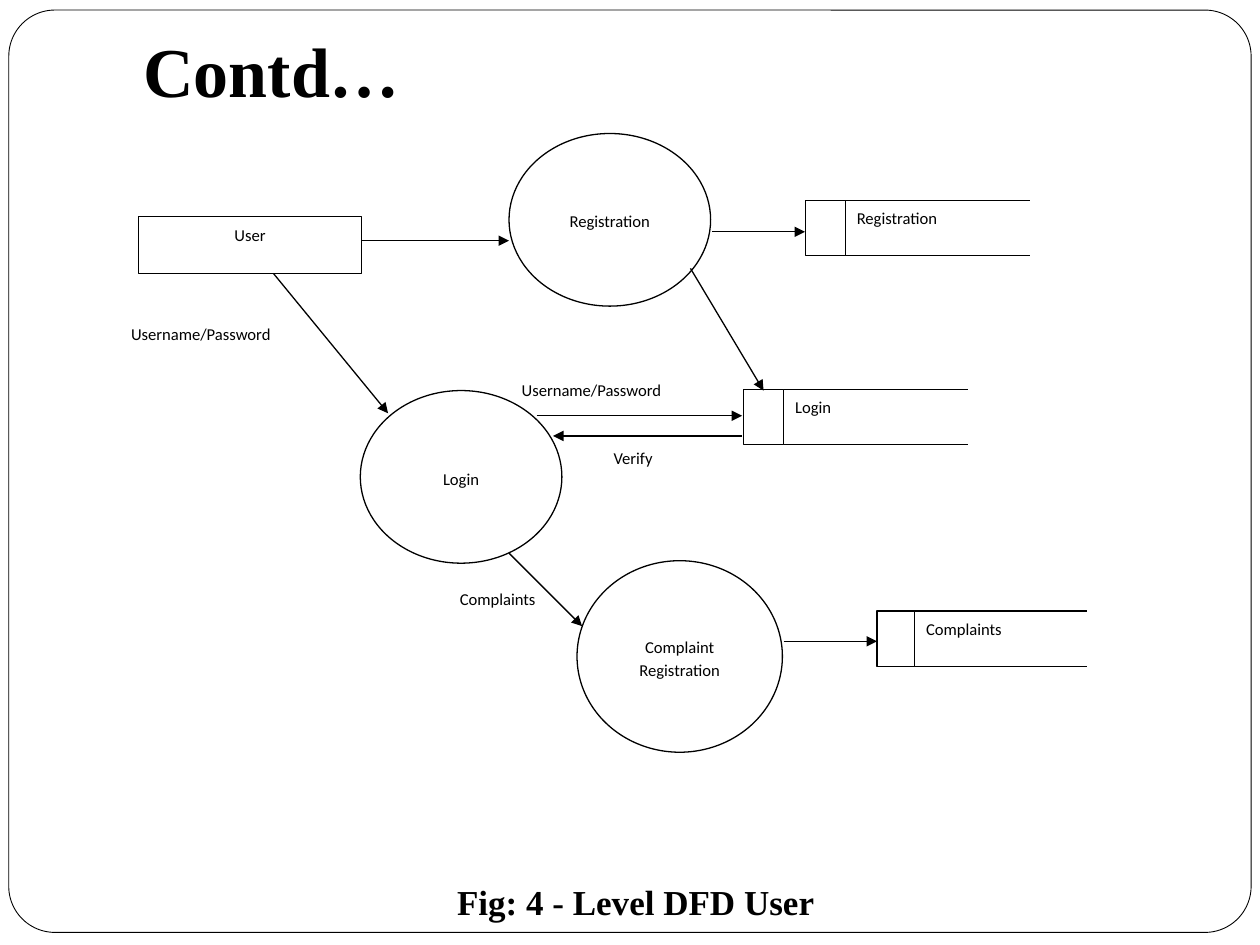
from lxml import etree
from pptx import Presentation
from pptx.dml.color import RGBColor
from pptx.enum.shapes import MSO_CONNECTOR, MSO_SHAPE
from pptx.enum.text import MSO_ANCHOR, PP_ALIGN
from pptx.oxml.ns import qn
from pptx.util import Inches, Pt

RECT, OVAL, ROUND = MSO_SHAPE.RECTANGLE, MSO_SHAPE.OVAL, MSO_SHAPE.ROUNDED_RECTANGLE
STRAIGHT = MSO_CONNECTOR.STRAIGHT
LEFT, CENTER = PP_ALIGN.LEFT, PP_ALIGN.CENTER
TOP, MIDDLE = MSO_ANCHOR.TOP, MSO_ANCHOR.MIDDLE
BLACK = RGBColor(0, 0, 0)
WHITE = RGBColor(255, 255, 255)

prs = Presentation()
prs.slide_width, prs.slide_height = Inches(10), Inches(7.5)
s = prs.slides.add_slide(prs.slide_layouts[6])
COL = prs.slide_width / 100
ROW = prs.slide_height / 75


def grid(x, y, w, h):
    return [round(v) for v in (x * COL, y * ROW, w * COL, h * ROW)]


def add_box(kind, at, line=BLACK, text="", align=LEFT, anchor=TOP, width=0.75):
    sp = s.shapes.add_shape(kind, *grid(*at))
    sp.shadow.inherit = False
    sp.fill.solid()
    sp.fill.fore_color.rgb = WHITE
    sp.line.color.rgb = line
    sp.line.width = Pt(width)
    if text:
        tf = sp.text_frame
        frame = {"word_wrap": True, "vertical_anchor": anchor,
                 "margin_left": Inches(0.09), "margin_right": Inches(0.09),
                 "margin_top": Inches(0.04), "margin_bottom": Inches(0.04)}
        for name, value in frame.items():
            setattr(tf, name, value)
        p = tf.paragraphs[0]
        p.alignment, p.line_spacing = align, 1.15
        r = p.add_run()
        r.text = text
        r.font.name, r.font.size = "Calibri", Pt(9.5)
        r.font.color.rgb = BLACK
    return sp


border = add_box(ROUND, (0.7, 0.8, 98.6, 73.2), width=0.5)
border.adjustments[0] = 0.05

headings = [
    ("Fig: 4 - Level DFD User", (35.3, 69.4, 42.3, 4.4), 20),
    ("Contd…", (10.4, 1.7, 70.1, 7.7), 40),
]
for text, at, size in headings:
    tf = s.shapes.add_textbox(*grid(*at)).text_frame
    tf.word_wrap = True
    r = tf.paragraphs[0].add_run()
    r.text = text
    for name, value in {"name": "Times New Roman", "size": Pt(size), "bold": True}.items():
        setattr(r.font, name, value)
    r.font.color.rgb = BLACK

flow_labels = [
    ("Verify", 47.8, 34.9, 8.2, LEFT),
    ("Complaints", 29.1, 46.1, 20.8, CENTER),
    ("Username/Password", 40.5, 29.5, 20.8, LEFT),
    ("Username/Password", 9.5, 25.1, 20.8, LEFT),
]
for text, x, y, w, align in flow_labels:
    add_box(RECT, (x, y, w, 3.6), WHITE, text, align)

processes = [
    ("Registration", (40.4, 10.6, 16, 13.7)),
    ("Login", (28.6, 31, 16, 13.7)),
    ("Complaint Registration", (45.8, 44.5, 16.3, 15.2)),
]
for text, at in processes:
    add_box(OVAL, at, BLACK, text, CENTER, MIDDLE)

stores = [
    ("Registration", 63.9, 15.9, 3.2, 18.8),
    ("Login", 59, 30.9, 3.2, 18.8),
    ("Complaints", 69.6, 48.5, 3, 17.8),
]
for text, x, y, tab, w in stores:
    add_box(RECT, (x + tab, y, w, 4.4), BLACK, text)
    add_box(RECT, (x, y, tab, 4.4))
    add_box(RECT, (x + tab + w - 4.1, y - 1.2, 6.7, 6.7), WHITE)

add_box(RECT, (11, 17.2, 17.7, 4.5), BLACK, "User", CENTER)

flows = [
    (28.7, 19.1, 40.4, 19.1),
    (56.5, 18.4, 63.9, 18.4),
    (42.6, 33, 58.9, 33),
    (58.9, 34.6, 43.9, 34.6),
    (40.4, 43.9, 46.2, 49.7),
    (21.7, 21.7, 30.8, 32.8),
    (54.8, 21.3, 60.6, 31),
    (62.2, 50.9, 69.6, 50.9),
]
for ends in flows:
    c = s.shapes.add_connector(STRAIGHT, *grid(*ends))
    c.line.color.rgb = BLACK
    c.line.width = Pt(0.75)
    etree.SubElement(c.line._get_or_add_ln(), qn("a:tailEnd"), type="triangle")
    etree.SubElement(c._element.spPr, qn("a:effectLst"))

prs.save("out.pptx")
